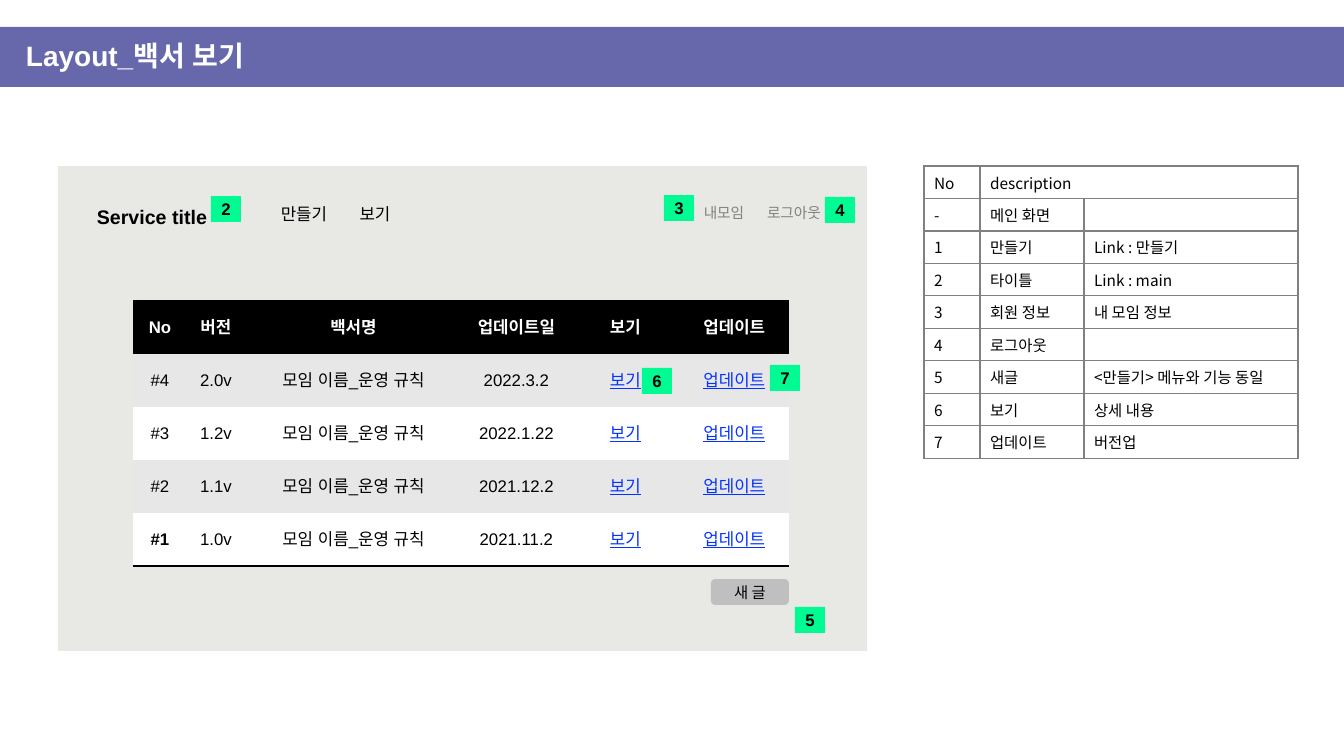
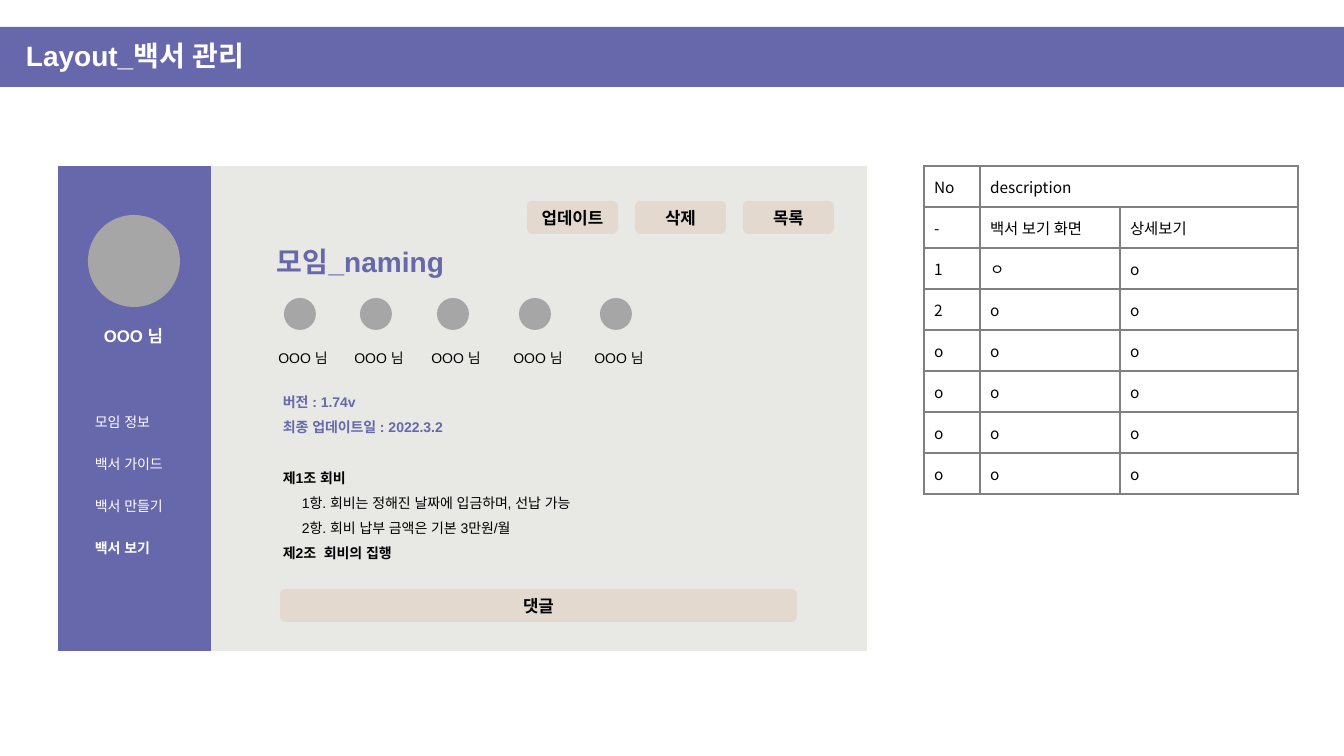
from lxml import etree
from pptx import Presentation
from pptx.dml.color import RGBColor
from pptx.enum.shapes import MSO_SHAPE
from pptx.enum.text import MSO_ANCHOR, MSO_AUTO_SIZE, PP_ALIGN
from pptx.oxml.ns import qn
from pptx.util import Pt

RECT = MSO_SHAPE.RECTANGLE
ROUND = MSO_SHAPE.ROUNDED_RECTANGLE
OVAL = MSO_SHAPE.OVAL
LEFT, CENTER = PP_ALIGN.LEFT, PP_ALIGN.CENTER
MIDDLE, TOP = MSO_ANCHOR.MIDDLE, MSO_ANCHOR.TOP
GROW = MSO_AUTO_SIZE.SHAPE_TO_FIT_TEXT

PX = 914400 / 100.8
PURPLE, PANEL, GREEN, SAND = "6768AC", "E8E8E5", "00FB92", "E3D9CE"
BLACK, WHITE, STRIPE, LINK = "000000", "FFFFFF", "E7E7E7", "0432FF"
GRAY, AVATAR, BUTTON = "808080", "A6A6A6", "BFBFBF"
SANS, KOREAN = "Arial", "Noto Sans CJK KR"


def write(frame, text, size=12, color=BLACK, bold=False, underline=False, font=SANS,
          align=CENTER, spacing=1.0, before=0, indent=0):
    """Add one paragraph to a text frame."""
    para = frame.add_paragraph() if frame.text else frame.paragraphs[0]
    para.alignment, para.line_spacing, para.space_before = align, spacing, Pt(before)
    if indent:
        para._p.get_or_add_pPr().set("marL", str(round(indent * PX)))
    if not text:
        etree.SubElement(para._p, qn("a:endParaRPr"), sz=str(size * 100))
        return
    span = para.add_run()
    span.text = text
    span.font.size, span.font.name = Pt(size), font
    span.font.bold, span.font.underline = bold, underline
    span.font.color.rgb = RGBColor.from_string(color)
    etree.SubElement(span._r.get_or_add_rPr(), qn("a:ea"), typeface=font)


def add_box(page, kind, left, top, width, height, fill=None, text="", anchor=MIDDLE, **style):
    """Add a filled shape, or a text box when kind is None; return its text frame."""
    area = [round(value * PX) for value in (left, top, width, height)]
    if kind is None:
        box = page.shapes.add_textbox(*area)
        box.text_frame.auto_size = GROW
    else:
        box = page.shapes.add_shape(kind, *area)
        box.shadow.inherit = False
        box.fill.solid()
        box.fill.fore_color.rgb = RGBColor.from_string(fill)
        box.line.fill.background()
    frame = box.text_frame
    frame.word_wrap, frame.vertical_anchor = True, anchor
    if text:
        write(frame, text, **style)
    return frame


deck = Presentation()
deck.slide_width, deck.slide_height = round(1344 * PX), round(756 * PX)

# Title band and mock-up panel on both slides
pages = []
for title in ("Layout_백서 보기", "Layout_백서 관리"):
    page = deck.slides.add_slide(deck.slide_layouts[6])
    add_box(page, RECT, 0, 27, 1344, 60, PURPLE, title, size=20, color=WHITE, bold=True,
            align=LEFT, spacing=0.9, indent=16)
    add_box(page, RECT, 58, 166, 809, 485, PANEL)
    pages.append(page)
list_page, detail_page = pages

# Tables: page, left, top, column widths, row height, rows, ruled grid
list_notes = [
    ("No", "description", ""), ("-", "메인 화면", ""), ("1", "만들기", "Link : 만들기"),
    ("2", "타이틀", "Link : main"), ("3", "회원 정보", "내 모임 정보"), ("4", "로그아웃", ""),
    ("5", "새글", "<만들기> 메뉴와 기능 동일"), ("6", "보기", "상세 내용"),
    ("7", "업데이트", "버전업"),
]
detail_notes = [
    ("No", "description", ""), ("-", "백서 보기 화면", "상세보기"), ("1", "ㅇ", "o"),
    ("2", "o", "o"),
] + [("o", "o", "o")] * 4
versions = [("No", "버전", "백서명", "업데이트일", "보기", "업데이트")] + [
    (number, version, "모임 이름_운영 규칙", date, "보기", "업데이트")
    for number, version, date in (
        ("#4", "2.0v", "2022.3.2"), ("#3", "1.2v", "2022.1.22"),
        ("#2", "1.1v", "2021.12.2"), ("#1", "1.0v", "2021.11.2"))
]
tables = [
    (list_page, 924, 166, (56, 104, 214), 29, list_notes, True),
    (detail_page, 924, 166, (56, 140, 178), 41, detail_notes, True),
    (list_page, 133, 301, (54, 58, 217, 109, 109, 109), 53, versions, False),
]
for page, left, top, widths, row_height, rows, ruled in tables:
    area = [round(value * PX) for value in (left, top, sum(widths), row_height * len(rows))]
    table = page.shapes.add_table(len(rows), len(widths), *area).table
    table.first_row = table.horz_banding = False
    for column, width in zip(table.columns, widths):
        column.width = round(width * PX)
    for r, row in enumerate(rows):
        table.rows[r].height = round(row_height * PX)
        for c, text in enumerate(row):
            cell = table.cell(r, c)
            cell.vertical_anchor = MIDDLE
            if ruled:
                fill = WHITE
                write(cell.text_frame, text, size=11, font=KOREAN, align=LEFT)
            else:
                header, link = r == 0, r > 0 and c >= 4
                fill = BLACK if header else STRIPE if r % 2 else WHITE
                write(cell.text_frame, text, color=WHITE if header else LINK if link else BLACK,
                      bold=header or text == "#1", underline=link)
            # Cell borders
            for side in "LRTB":
                edge = (side == "T" and r == 0) or (side == "B" and r in (0, len(rows) - 1))
                line = etree.SubElement(cell._tc.get_or_add_tcPr(), qn("a:ln" + side),
                                        w=str(Pt(1 if ruled else 2)))
                if ruled or edge:
                    paint = etree.SubElement(line, qn("a:solidFill"))
                    etree.SubElement(paint, qn("a:srgbClr"), val=GRAY if ruled else BLACK)
                else:
                    etree.SubElement(line, qn("a:noFill"))
            cell.fill.solid()
            cell.fill.fore_color.rgb = RGBColor.from_string(fill)
    if ruled:
        table.cell(0, 1).merge(table.cell(0, 2))

# List slide: service menu
add_box(list_page, None, 46, 188, 212, 42, text="Service title", anchor=TOP,
        size=14, bold=True, spacing=1.5)
for left, top, width, text, size, color in (
        (244, 189, 120, "만들기", 12, BLACK), (315, 189, 120, "보기", 12, BLACK),
        (734, 190, 120, "로그아웃", 10.5, GRAY), (679, 190, 90, "내모임", 10.5, GRAY)):
    add_box(list_page, None, left, top, width, 38, text=text, anchor=TOP,
            size=size, color=color, spacing=1.5)
add_box(list_page, ROUND, 711, 579, 78, 26, BUTTON, "새 글", size=11, font=KOREAN)

# List slide: numbered markers
for number, left, top in (("2", 211, 196), ("3", 664, 195), ("4", 825, 197),
                          ("6", 642, 368), ("5", 795, 607), ("7", 770, 365)):
    add_box(list_page, RECT, left, top, 30, 26, GREEN, number, bold=True)

# Detail slide: profile sidebar
add_box(detail_page, RECT, 58, 166, 153, 485, PURPLE)
add_box(detail_page, OVAL, 88, 215, 92, 92, AVATAR)
add_box(detail_page, None, 71, 311, 125, 38, text="OOO 님", anchor=TOP,
        color=WHITE, bold=True, spacing=1.5)
menu = add_box(detail_page, None, 85, 383, 125, 175, anchor=TOP)
for item in ("모임 정보", "백서 가이드", "백서 만들기", "백서 보기"):
    write(menu, item, size=10, color=WHITE, bold=item == "백서 보기", align=LEFT, spacing=2.5)

# Detail slide: heading and members
add_box(detail_page, None, 267, 239, 368, 44, text="모임_naming", size=20, color=PURPLE,
        bold=True, align=LEFT)
for left in (284, 360, 437, 519, 600):
    add_box(detail_page, OVAL, left, 298, 32, 32, AVATAR)
    add_box(detail_page, None, left - 16, 336, 70, 20, text="OOO 님", anchor=TOP,
            size=10, spacing=1.5)

# Detail slide: rules
rules = add_box(detail_page, None, 273, 380, 517, 186, anchor=TOP)
for text, style in (
        ("버전 : 1.74v", {"color": PURPLE, "bold": True}),
        ("최종 업데이트일 : 2022.3.2", {"color": PURPLE, "bold": True}),
        ("제1조 회비", {"bold": True, "before": 18}),
        ("1항. 회비는 정해진 날짜에 입금하며, 선납 가능", {"indent": 19}),
        ("2항. 회비 납부 금액은 기본 3만원/월", {"indent": 19}),
        ("제2조  회비의 집행", {"bold": True})):
    write(rules, text, size=10, align=LEFT, spacing=1.5, **style)

# Detail slide: buttons
for text, left, top, width in (("업데이트", 527, 201, 91), ("삭제", 635, 201, 91),
                               ("목록", 743, 201, 91), ("댓글", 280, 589, 517)):
    add_box(detail_page, ROUND, left, top, width, 33, SAND, text, bold=True)

deck.save("out.pptx")
